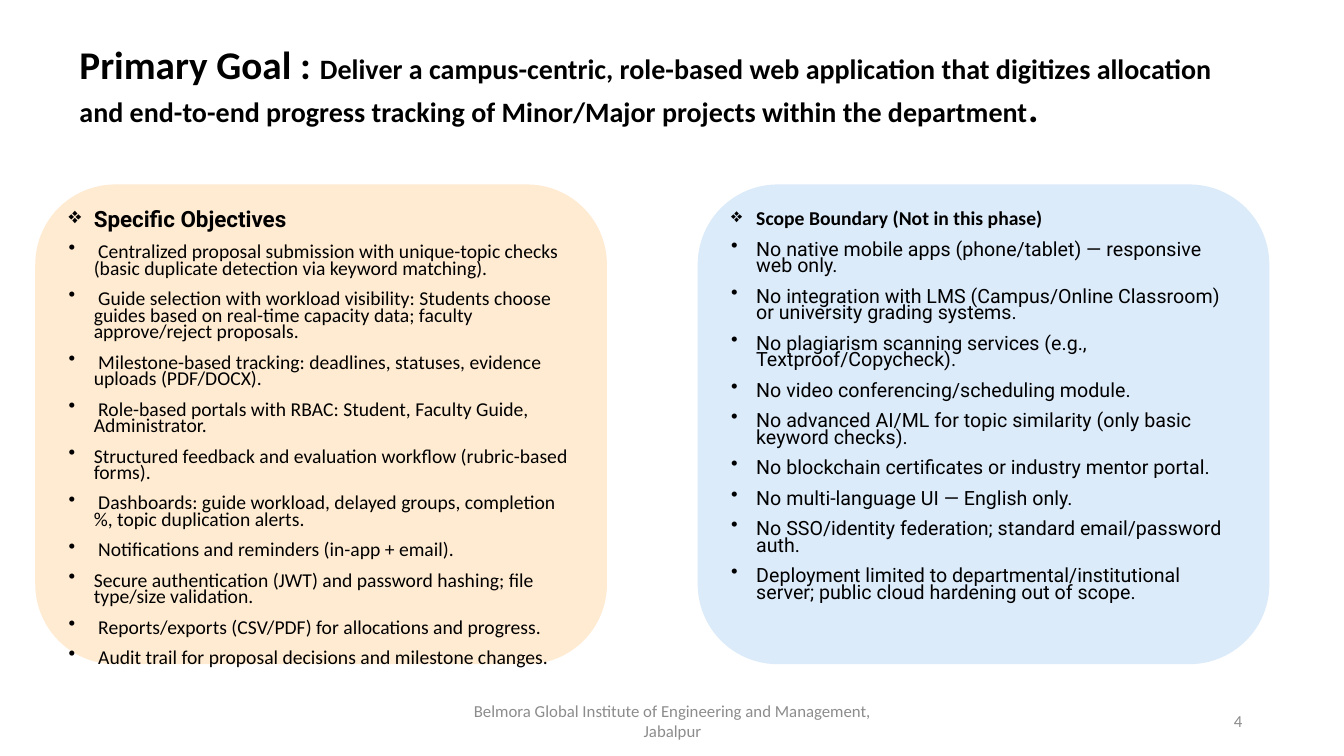
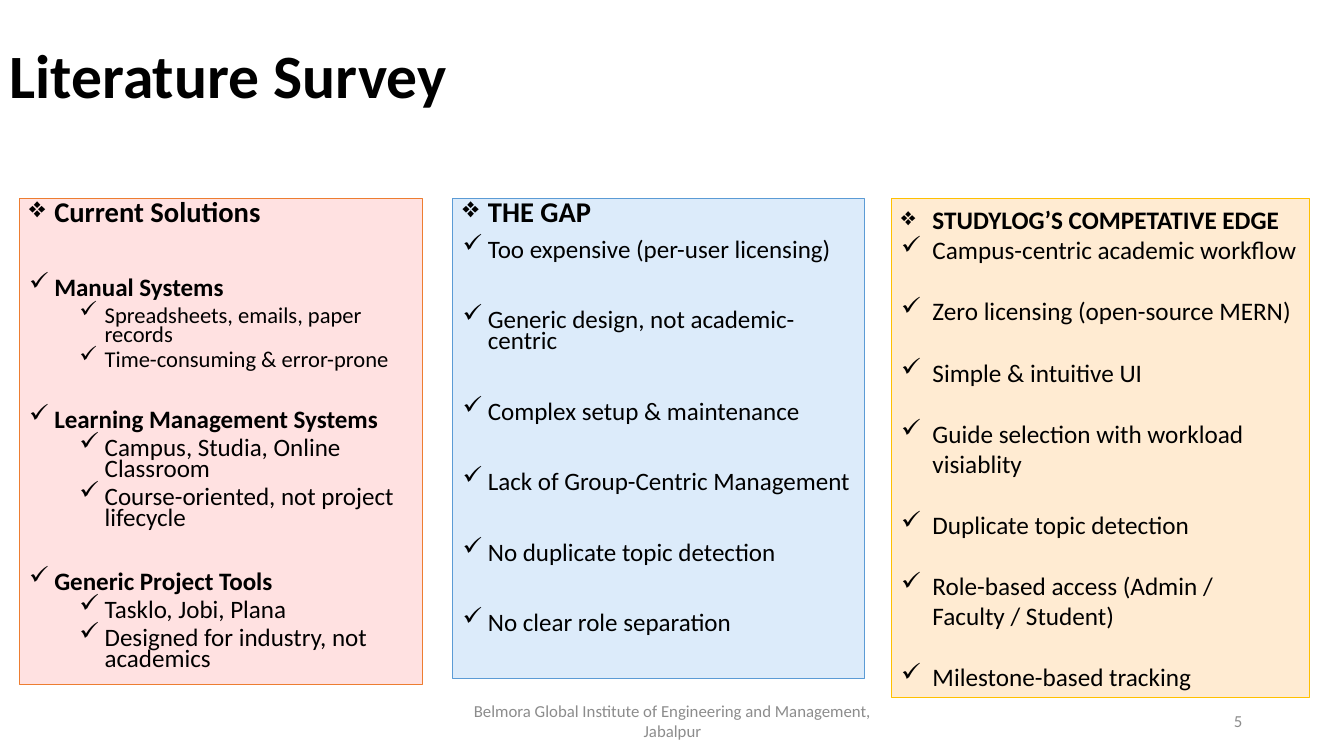
from lxml import etree
from pptx import Presentation, util as u
from pptx.dml.color import RGBColor
from pptx.enum import shapes, text
from pptx.oxml.ns import qn

BLACK, GREY = "000000", "8C8C8C"
PEACH, SKY, ROSE = "FFEBD2", "DCEBFA", "FFE1E1"
ORANGE, BLUE, GOLD = "ED7D31", "5B9BD5", "FFC000"
BODY_FONT, ALT_FONT = "Calibri", "Roboto"
DIAMOND, DOT, CHECK = "❖", "•", "✓"
FOOTER = "Belmora Global Institute of Engineering and Management, Jabalpur"
LEFT, CENTER, RIGHT = text.PP_ALIGN.LEFT, text.PP_ALIGN.CENTER, text.PP_ALIGN.RIGHT
TOP, MIDDLE = text.MSO_ANCHOR.TOP, text.MSO_ANCHOR.MIDDLE
RECT, ROUND = shapes.MSO_SHAPE.RECTANGLE, shapes.MSO_SHAPE.ROUNDED_RECTANGLE

OBJECTIVES = [
    " Centralized proposal submission with unique-topic checks (basic duplicate detection via keyword matching).",
    " Guide selection with workload visibility: Students choose guides based on real-time capacity data; "
    "faculty approve/reject proposals.",
    " Milestone-based tracking: deadlines, statuses, evidence uploads (PDF/DOCX).",
    " Role-based portals with RBAC: Student, Faculty Guide, Administrator.",
    "Structured feedback and evaluation workflow (rubric-based forms).",
    " Dashboards: guide workload, delayed groups, completion %, topic duplication alerts.",
    " Notifications and reminders (in-app + email).",
    "Secure authentication (JWT) and password hashing; file type/size validation.",
    " Reports/exports (CSV/PDF) for allocations and progress.",
    " Audit trail for proposal decisions and milestone changes.",
]
BOUNDARIES = [
    "No native mobile apps (phone/tablet) — responsive web only.",
    "No integration with LMS (Campus/Online Classroom) or university grading systems.",
    "No plagiarism scanning services (e.g., Textproof/Copycheck).",
    "No video conferencing/scheduling module.",
    "No advanced AI/ML for topic similarity (only basic keyword checks).",
    "No blockchain certificates or industry mentor portal.",
    "No multi-language UI — English only.",
    "No SSO/identity federation; standard email/password auth.",
    "Deployment limited to departmental/institutional server; public cloud hardening out of scope.",
]
# group name, space before, size of its items, items
SOLUTIONS = [
    ("Manual Systems", 37.4, 16.1,
     ["Spreadsheets, emails, paper records", "Time-consuming & error-prone"]),
    ("Learning Management Systems", 28.8, 17.9,
     ["Campus, Studia, Online Classroom", "Course-oriented, not project lifecycle"]),
    ("Generic Project Tools", 30.3, 17.9,
     ["Tasklo, Jobi, Plana", "Designed for industry, not academics"]),
]
GAPS = [
    "Too expensive (per-user licensing)",
    "Generic design, not academic-centric",
    "Complex setup & maintenance",
    "Lack of Group-Centric Management",
    "No duplicate topic detection",
    "No clear role separation",
]
EDGES = [
    "Campus-centric academic workflow",
    "Zero licensing (open-source MERN)",
    "Simple & intuitive UI",
    "Guide selection with workload visiablity",
    "Duplicate topic detection",
    "Role-based access (Admin / Faculty / Student)",
    "Milestone-based tracking",
]


def rgb(color):
    return RGBColor.from_string(color)


def set_attrs(obj, **values):
    for name, value in values.items():
        setattr(obj, name, value)


def add_run(p, txt, size, bold=False, font=BODY_FONT, color=BLACK):
    r = p.add_run()
    r.text = txt
    set_attrs(r.font, size=u.Pt(size), bold=bold, name=font)
    r.font.color.rgb = rgb(color)


def add_label(slide, at, runs, align=LEFT, spacing=1.0, **style):
    """Text box holding one paragraph of (text, size) runs."""
    tf = slide.shapes.add_textbox(*map(u.Inches, at)).text_frame
    set_attrs(tf, word_wrap=True, vertical_anchor=MIDDLE)
    p = tf.paragraphs[0]
    set_attrs(p, alignment=align, line_spacing=spacing)
    for txt, size in runs:
        add_run(p, txt, size, **style)


def add_title(slide, left, top, runs):
    add_label(slide, (left, top, 11.5, 1.45), runs, spacing=0.9, bold=True)


def add_footer(slide, number):
    add_label(slide, (4.42, 6.95, 4.5, 0.4), [(FOOTER, 12)], CENTER, color=GREY)
    add_label(slide, (9.42, 6.95, 3, 0.4), [(str(number), 12)], RIGHT, color=GREY)


def item(txt, size, bullet=CHECK, before=10, indent=0.25, **style):
    return dict(txt=txt, size=size, bullet=bullet, before=before, indent=indent, style=style)


def spaced_items(texts, size, first, gap, **options):
    """Check-marked items: a small space before the first, a wide one before the rest."""
    return [item(txt, size, before=gap if i else first, **options)
            for i, txt in enumerate(texts)]


def add_panel(slide, kind, at, fill, items, line=None, anchor=TOP, spacing=0.7, hang=0.25):
    """Filled shape holding a bulleted list."""
    sp = slide.shapes.add_shape(kind, *map(u.Inches, at))
    sp.shadow.inherit = False
    sp.fill.solid()
    sp.fill.fore_color.rgb = rgb(fill)
    if line:
        sp.line.color.rgb = rgb(line)
        sp.line.width = u.Pt(0.5)
    else:
        sp.line.fill.background()
    tf = sp.text_frame
    set_attrs(tf, word_wrap=True, vertical_anchor=anchor)
    for i, entry in enumerate(items):
        p = tf.add_paragraph() if i else tf.paragraphs[0]
        set_attrs(p, alignment=LEFT, line_spacing=spacing, space_before=u.Pt(entry["before"]))
        pPr = p._p.get_or_add_pPr()
        pPr.set("marL", str(u.Inches(entry["indent"])))
        pPr.set("indent", str(-u.Inches(hang)))
        etree.SubElement(pPr, qn("a:buChar")).set("char", entry["bullet"])
        add_run(p, entry["txt"], entry["size"], **entry["style"])


def build_goal(slide):
    add_title(slide, 0.69, 0.15, [
        ("Primary Goal : ", 28),
        ("Deliver a campus-centric, role-based web application that digitizes allocation "
         "and end-to-end progress tracking of Minor/Major projects within the department", 20),
        (".", 28)])
    panels = [
        (0.35, PEACH, "Specific Objectives", 16, ALT_FONT, OBJECTIVES, BODY_FONT),
        (6.92, SKY, "Scope Boundary (Not in this phase)", 14, BODY_FONT, BOUNDARIES, ALT_FONT),
    ]
    for left, fill, heading, size, heading_font, texts, font in panels:
        items = [item(heading, size, DIAMOND, bold=True, font=heading_font)]
        items += [item(txt, 14, DOT, font=font) for txt in texts]
        add_panel(slide, ROUND, (left, 1.83, 5.67, 4.76), fill, items)


def build_survey(slide):
    add_title(slide, 0, 0.05, [("Literature Survey", 44)])

    solutions = [item("Current Solutions", 20.4, DIAMOND, bold=True)]
    for name, before, size, texts in SOLUTIONS:
        solutions.append(item(name, 17.9, before=before, bold=True))
        solutions += [item(txt, size, before=5, indent=0.75) for txt in texts]
    add_panel(slide, RECT, (0.19, 1.97, 4, 4.82), ROSE, solutions, ORANGE)

    gaps = [item("THE GAP", 20.4, DIAMOND, bold=True)]
    gaps += spaced_items(GAPS, 17.9, first=10, gap=35.3)
    add_panel(slide, RECT, (4.49, 1.97, 4.08, 4.76), SKY, gaps, BLUE)

    edges = [item("STUDYLOG’S COMPETATIVE EDGE", 18, DIAMOND, before=0, indent=0.31, bold=True)]
    edges += spaced_items(EDGES, 18, first=0, gap=22, indent=0.31)
    add_panel(slide, RECT, (8.84, 1.97, 4.15, 4.95), PEACH, edges, GOLD,
              anchor=MIDDLE, spacing=1.0, hang=0.31)


def main():
    prs = Presentation()
    set_attrs(prs, slide_width=u.Inches(13.33), slide_height=u.Inches(7.5))
    for number, build in enumerate((build_goal, build_survey), start=4):
        slide = prs.slides.add_slide(prs.slide_layouts[6])
        build(slide)
        add_footer(slide, number)
    prs.save("out.pptx")


if __name__ == "__main__":
    main()
